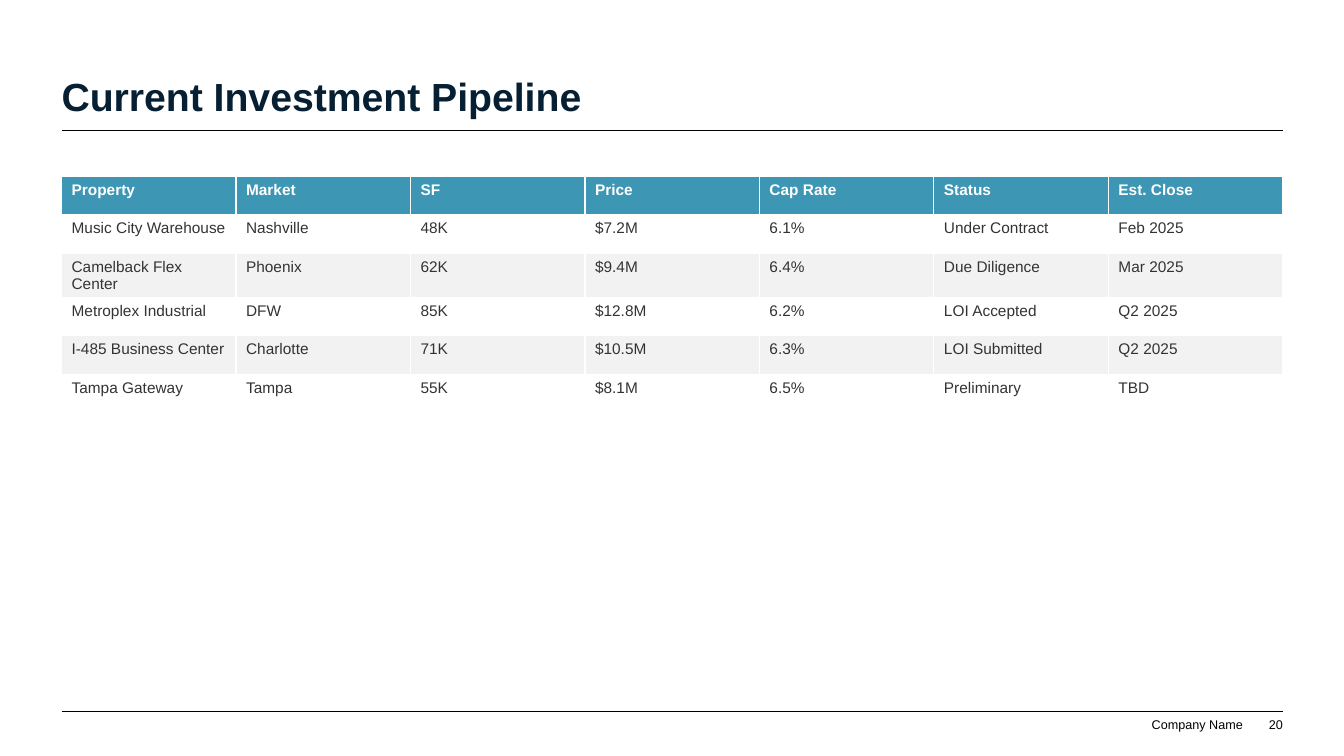
from lxml import etree
from pptx import Presentation
from pptx import util as u
from pptx.dml.color import RGBColor
from pptx.enum import shapes, text
from pptx.oxml.ns import qn

FONT = "Arial"
LEFT, WIDTH = 1.55, 30.78
HEADER_FILL, BAND_FILLS = "3C96B4", ("FFFFFF", "F2F2F2")
PIPELINE = [
    ("Property", "Market", "SF", "Price", "Cap Rate", "Status", "Est. Close"),
    ("Music City Warehouse", "Nashville", "48K", "$7.2M", "6.1%", "Under Contract", "Feb 2025"),
    ("Camelback Flex Center", "Phoenix", "62K", "$9.4M", "6.4%", "Due Diligence", "Mar 2025"),
    ("Metroplex Industrial", "DFW", "85K", "$12.8M", "6.2%", "LOI Accepted", "Q2 2025"),
    ("I-485 Business Center", "Charlotte", "71K", "$10.5M", "6.3%", "LOI Submitted", "Q2 2025"),
    ("Tampa Gateway", "Tampa", "55K", "$8.1M", "6.5%", "Preliminary", "TBD"),
]


def rgb(color):
    return RGBColor.from_string(color)


def style(p, size, color, bold=False, align=text.PP_ALIGN.LEFT):
    p.alignment = align
    p.font.name, p.font.size, p.font.bold = FONT, u.Pt(size), bold
    p.font.color.rgb = rgb(color)


def fill_frame(tf, words):
    """Put words in a bottom-anchored frame without margins; return the paragraph."""
    tf.margin_left = tf.margin_top = tf.margin_right = tf.margin_bottom = 0
    tf.vertical_anchor = text.MSO_ANCHOR.BOTTOM
    tf.auto_size = text.MSO_AUTO_SIZE.NONE
    tf.word_wrap = True
    tf.text = words
    return tf.paragraphs[0]


def add_rule(s, x, y, w):
    line = s.shapes.add_connector(
        shapes.MSO_CONNECTOR.STRAIGHT, u.Cm(x), u.Cm(y), u.Cm(x + w), u.Cm(y))
    line.line.color.rgb = rgb("000000")
    line.line.width = u.Pt(0.5)
    etree.SubElement(line._element.spPr, qn("a:effectLst"))


def add_title(s, x, y, w, h, words):
    sp = s.shapes.title
    sp.left, sp.top, sp.width, sp.height = map(u.Cm, (x, y, w, h))
    sp.fill.solid()
    sp.fill.fore_color.rgb = rgb("FFFFFF")
    style(fill_frame(sp.text_frame, words), 28, "061F32", bold=True)
    add_rule(s, x, y + h + 0.26, w)


def add_pipeline_table(s, x, y, w, h, rows):
    frame = s.shapes.add_table(
        len(rows), len(rows[0]), u.Cm(x), u.Cm(y), u.Cm(w), u.Cm(h))
    for i, row in enumerate(rows):
        header = i == 0
        for j, words in enumerate(row):
            cell = frame.table.cell(i, j)
            cell.text = words
            cell.fill.solid()
            cell.fill.fore_color.rgb = rgb(HEADER_FILL if header else BAND_FILLS[(i - 1) % 2])
            style(cell.text_frame.paragraphs[0], 11, "FFFFFF" if header else "333333", header)


def add_footer(s, x, y, w, company, page):
    add_rule(s, x, y, w)
    right = x + w
    for words, box_right, box_w in ((company, right - 1.01, 4), (page, right, 0.91)):
        box = s.shapes.add_textbox(
            u.Cm(box_right - box_w), u.Cm(y + 0.13), u.Cm(box_w), u.Cm(0.38))
        style(fill_frame(box.text_frame, words), 9, "000000", align=text.PP_ALIGN.RIGHT)


def main():
    prs = Presentation()
    prs.slide_width, prs.slide_height = u.Cm(33.87), u.Cm(19.05)
    s = prs.slides.add_slide(prs.slide_layouts[5])
    add_title(s, LEFT, 0.99, WIDTH, 2.03, "Current Investment Pipeline")
    add_pipeline_table(s, LEFT, 4.45, WIDTH, 5.79, PIPELINE)
    add_footer(s, LEFT, 17.93, WIDTH, "Company Name", "20")
    prs.save("out.pptx")


if __name__ == "__main__":
    main()
